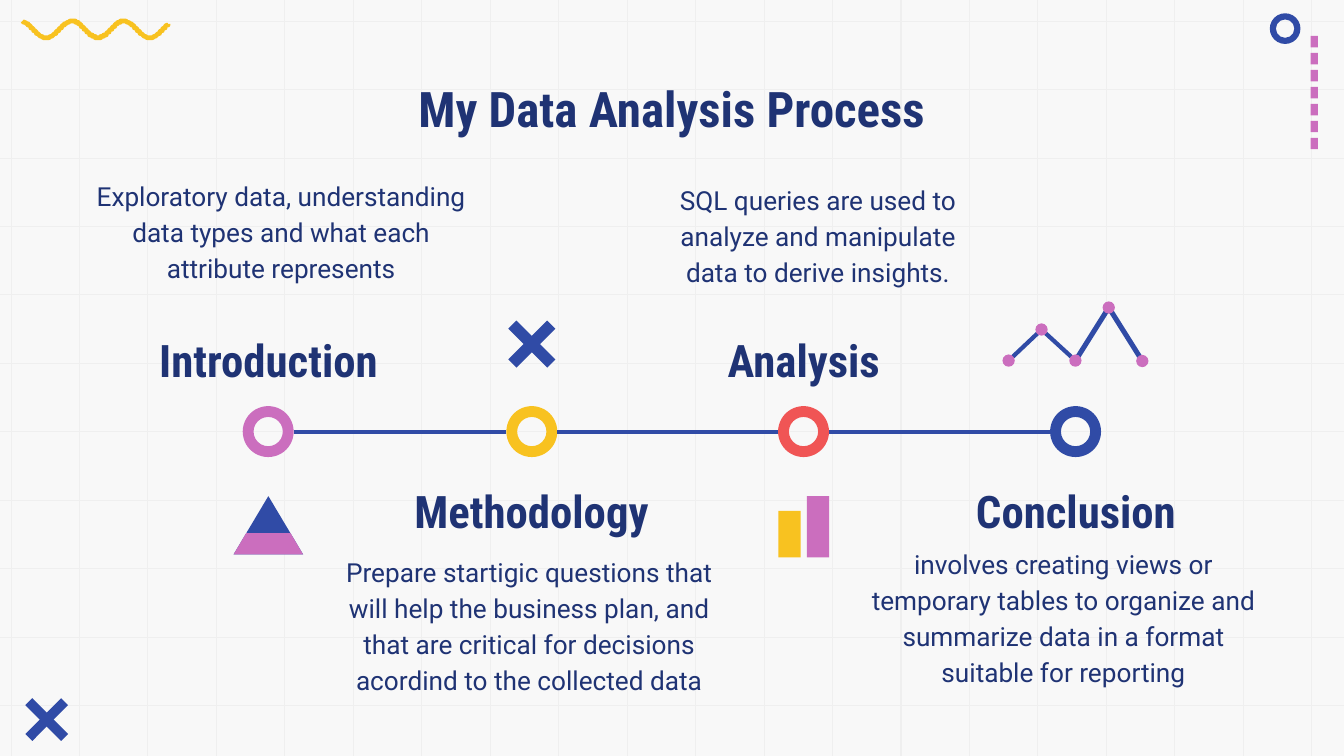
"""Builds the "My Data Analysis Process" timeline slide."""
from itertools import pairwise
from math import cos, pi

from lxml import etree
from pptx import Presentation
from pptx.dml.color import RGBColor
from pptx.enum.shapes import MSO_CONNECTOR, MSO_SHAPE as SHAPE
from pptx.enum.text import MSO_ANCHOR as ANCHOR, PP_ALIGN
from pptx.oxml.ns import qn
from pptx.util import Pt

PAPER = RGBColor(0xF8, 0xF8, 0xF8)
GRID = RGBColor(0xEF, 0xEF, 0xEF)
NAVY = RGBColor(0x1F, 0x33, 0x74)
BLUE = RGBColor(0x30, 0x4B, 0xA6)
PINK = RGBColor(0xCB, 0x6E, 0xBE)
YELLOW = RGBColor(0xF8, 0xC2, 0x20)
RED = RGBColor(0xF0, 0x55, 0x55)

WIDTH, HEIGHT = 960, 540
GRID_STEP = 48.9
TIMELINE_Y, RING = 308.3, 36.4
TITLE = {"name": "Roboto Condensed", "size": Pt(35), "bold": True}
HEADING = {"name": "Roboto Condensed", "size": Pt(32), "bold": True}
BODY = {"name": "Roboto", "size": Pt(18.7)}

prs = Presentation()
prs.slide_width, prs.slide_height = Pt(WIDTH), Pt(HEIGHT)
slide = prs.slides.add_slide(prs.slide_layouts[6])
slide.background.fill.solid()
slide.background.fill.fore_color.rgb = PAPER
shapes = slide.shapes


def add_line(start, end, color, width):
    line = shapes.add_connector(MSO_CONNECTOR.STRAIGHT, *map(Pt, (*start, *end)))
    line.line.color.rgb = color
    line.line.width = Pt(width)
    etree.SubElement(line._element.spPr, qn("a:effectLst"))


def add_solid(kind, left, top, width, height, color, adjustment=None):
    solid = shapes.add_shape(kind, *map(Pt, (left, top, width, height)))
    solid.shadow.inherit = False
    solid.fill.solid()
    solid.fill.fore_color.rgb = color
    solid.line.fill.background()
    if adjustment is not None:
        solid.adjustments[0] = adjustment


for row in range(11):
    y = 15.1 + row * GRID_STEP
    add_line((0, y), (WIDTH, y), GRID, 0.75)
for column in range(20):
    x = 7.9 + column * GRID_STEP
    add_line((x, 0), (x, HEIGHT), GRID, 0.75)

for dash in range(7):
    add_solid(SHAPE.RECTANGLE, 936.2, 25.7 + dash * 12.12, 5.2, 8.2, PINK)
add_solid(SHAPE.DONUT, 907, 9.5, 21.9, 21.9, BLUE, 0.2)

wave_points = [(x / 2, 21 - 6 * cos(2 * pi * (x / 2 - 51.5) / 37)) for x in range(33, 242)]
builder = shapes.build_freeform(*wave_points[0], scale=Pt(1))
builder.add_line_segments(wave_points[1:], close=False)
wave = builder.convert_to_shape()
wave.shadow.inherit = False
wave.fill.background()
wave.line.color.rgb = YELLOW
wave.line.width = Pt(3.3)

for x, y, reach, thickness in [(33.4, 514, 12.8, 7), (379.9, 245.8, 13.9, 8.3)]:
    add_line((x - reach, y - reach), (x + reach, y + reach), BLUE, thickness)
    add_line((x - reach, y + reach), (x + reach, y - reach), BLUE, thickness)

texts = [
    ("My Data Analysis Process", 75.6, 46.8, 808.6, 60.5, TITLE, ANCHOR.TOP, 1),
    ("Introduction", 79.2, 222.5, 225.4, 48.2, HEADING, ANCHOR.TOP, 1.15),
    ("Exploratory data, understanding data types and what each attribute represents",
     59, 115.9, 283.7, 59.8, BODY, ANCHOR.TOP, 1.15),
    ("Methodology", 267.1, 345.6, 225.4, 48.2, HEADING, ANCHOR.BOTTOM, 1.15),
    ("Prepare startigic questions that will help the business plan, and that are critical "
     "for decisions acordind to the collected data",
     234, 384.5, 288, 59.8, BODY, ANCHOR.TOP, 1.15),
    ("Analysis", 461.5, 222.5, 225.4, 48.2, HEADING, ANCHOR.TOP, 1.15),
    ("SQL queries are used to analyze and manipulate data to derive insights.",
     471.6, 118.8, 225.4, 59.8, BODY, ANCHOR.TOP, 1.15),
    ("Conclusion", 655.9, 345.6, 225.4, 48.2, HEADING, ANCHOR.BOTTOM, 1.15),
    ("involves creating views or temporary tables to organize and summarize data "
     "in a format suitable for reporting",
     605.5, 378.7, 308.2, 59.8, BODY, ANCHOR.TOP, 1.15),
]
for wording, left, top, width, height, style, anchor, spacing in texts:
    frame = shapes.add_textbox(*map(Pt, (left, top, width, height))).text_frame
    frame_format = {"word_wrap": True, "vertical_anchor": anchor}
    for side in ("left", "top", "right", "bottom"):
        frame_format[f"margin_{side}"] = Pt(9.6)
    for key, value in frame_format.items():
        setattr(frame, key, value)
    paragraph = frame.paragraphs[0]
    paragraph.alignment = PP_ALIGN.CENTER
    paragraph.line_spacing = spacing
    run = paragraph.add_run()
    run.text = wording
    run.font.color.rgb = NAVY
    for key, value in style.items():
        setattr(run.font, key, value)

stages = [(191.6, PINK), (379.9, YELLOW), (574, RED), (768.3, BLUE)]
for center, color in stages:
    add_solid(SHAPE.DONUT, center - RING / 2, TIMELINE_Y - RING / 2, RING, RING, color, 0.213)
for (center, _), (next_center, _) in pairwise(stages):
    add_line((center + RING / 2, TIMELINE_Y), (next_center - RING / 2, TIMELINE_Y), BLUE, 3)

add_solid(SHAPE.ISOSCELES_TRIANGLE, 166.9, 354.4, 49.6, 41.6, BLUE)
add_solid(SHAPE.TRAPEZOID, 166.9, 380.9, 49.6, 15.1, PINK, 0.59)

add_solid(SHAPE.RECTANGLE, 556, 365, 16, 33.2, YELLOW)
add_solid(SHAPE.RECTANGLE, 576.3, 354.3, 16, 43.9, PINK)

trend = [(720.5, 257.6), (744, 235.4), (768.2, 257.6), (792, 219.7), (816, 257.9)]
for (start, end), thickness in zip(pairwise(trend), (3, 3, 3.6, 3.6)):
    add_line(start, end, BLUE, thickness)
for x, y in trend:
    add_solid(SHAPE.OVAL, x - 4.4, y - 4.4, 8.8, 8.8, PINK)

prs.save("out.pptx")
